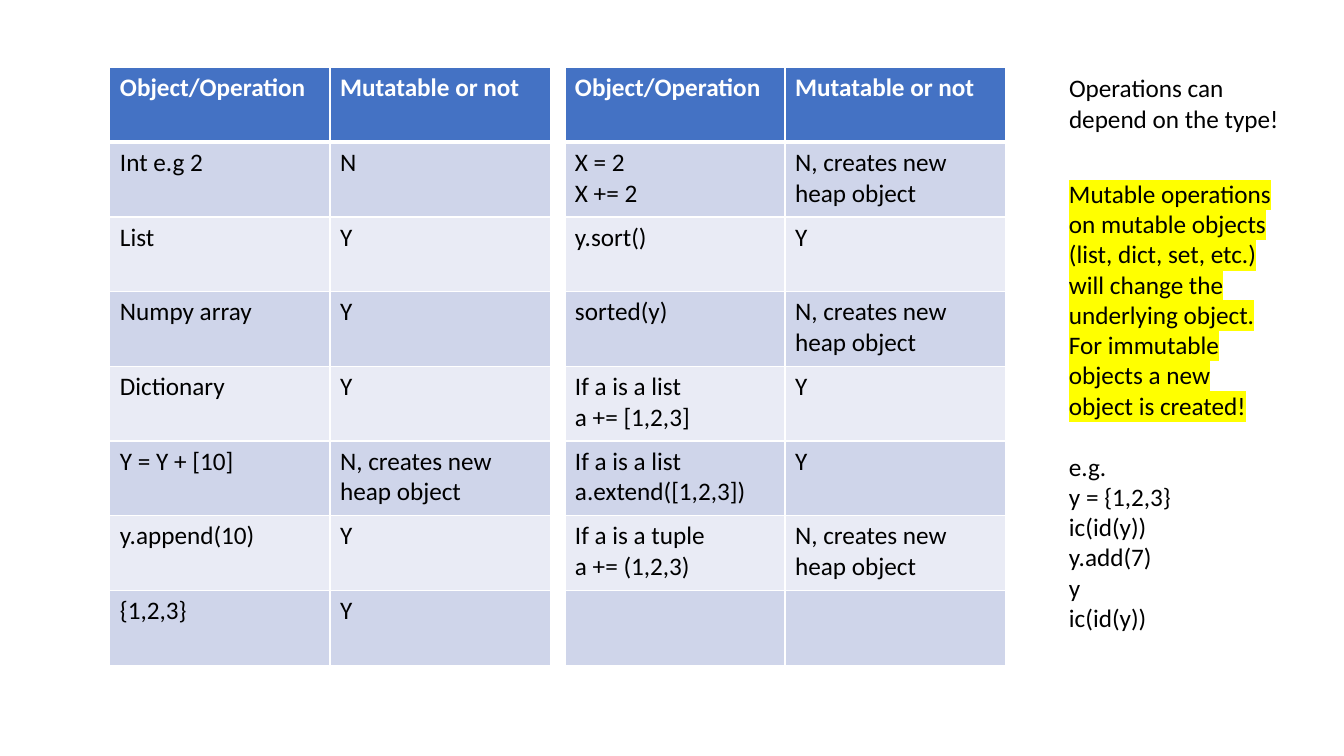
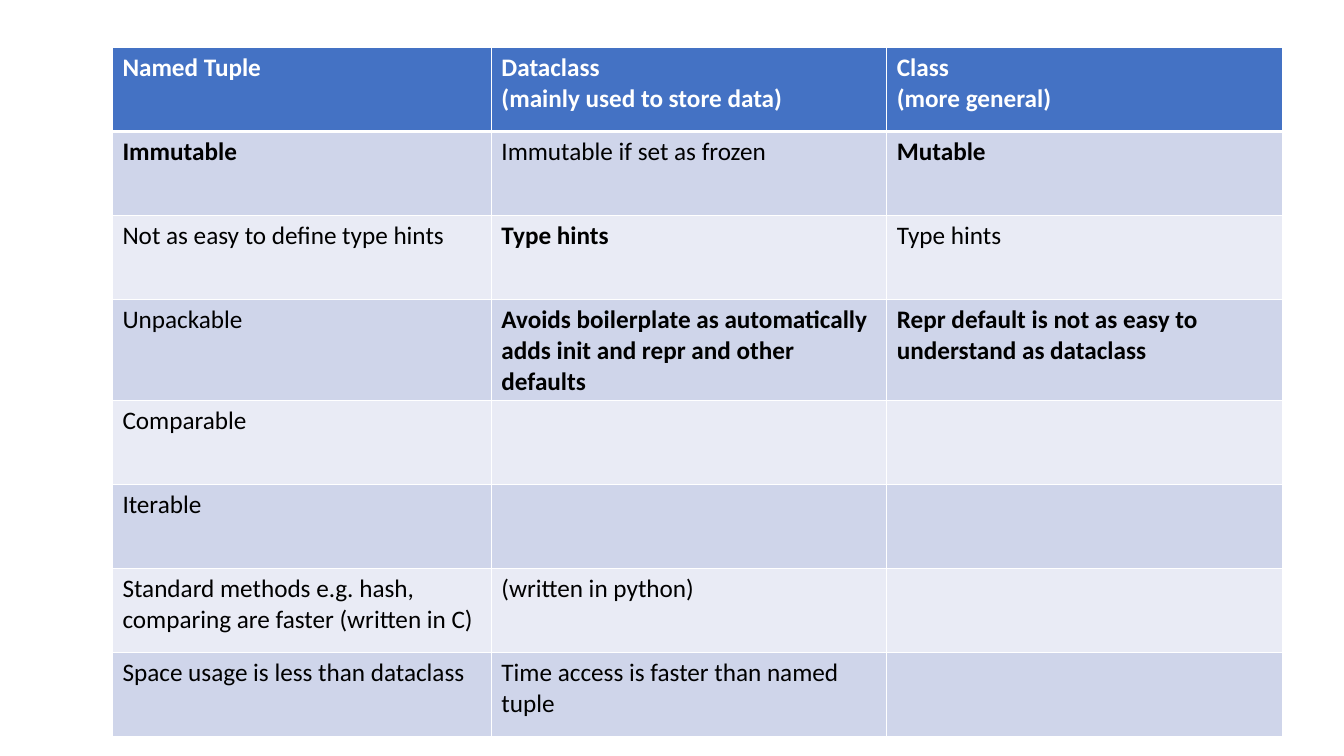
from dataclasses import dataclass

from lxml import etree
from pptx import Presentation
from pptx.dml.color import RGBColor
from pptx.enum.text import MSO_AUTO_SIZE
from pptx.oxml.ns import qn
from pptx.util import Pt

GROW = MSO_AUTO_SIZE.SHAPE_TO_FIT_TEXT


@dataclass(frozen=True)
class Theme:
    font: str = "Calibri"
    size: float = 18
    line: float = 22
    text: str = "000000"
    light: str = "FFFFFF"
    header: str = "4472C4"
    bands: tuple = ("CFD5EA", "E9EBF5")
    highlight: str = "FFFF00"
    border: float = 1
    header_border: float = 3


THEME = Theme()

# Table content, one row a tuple
OPERATION_HEADER = ("Object/Operation", "Mutatable or not")
NEW_OBJECT = "N, creates new heap object"
OBJECTS = [
    OPERATION_HEADER,
    ("Int e.g 2", "N"),
    ("List", "Y"),
    ("Numpy array", "Y"),
    ("Dictionary", "Y"),
    ("Y = Y + [10]", NEW_OBJECT),
    ("y.append(10)", "Y"),
    ("{1,2,3}", "Y"),
]
OPERATIONS = [
    OPERATION_HEADER,
    ("X = 2\nX += 2", NEW_OBJECT),
    ("y.sort()", "Y"),
    ("sorted(y)", NEW_OBJECT),
    ("If a is a list\na += [1,2,3]", "Y"),
    ("If a is a list\na.extend([1,2,3])", "Y"),
    ("If a is a tuple\na += (1,2,3)", NEW_OBJECT),
    ("", ""),
]
CLASS_KINDS = [
    ("Named Tuple", "Dataclass\n(mainly used to store data)", "Class\n(more general)"),
    ("Immutable", "Immutable if set as frozen", "Mutable"),
    ("Not as easy to define type hints", "Type hints", "Type hints"),
    ("Unpackable",
     "Avoids boilerplate as automatically adds init and repr and other defaults",
     "Repr default is not as easy to understand as dataclass"),
    ("Comparable", "", ""),
    ("Iterable", "", ""),
    ("Standard methods e.g. hash, comparing are faster (written in C)",
     "(written in python)", ""),
    ("Space usage is less than dataclass",
     "Time access is faster than named tuple", ""),
]
KEY_DIFFERENCES = {(1, 0), (1, 2), (2, 1), (3, 1), (3, 2)}  # bold (row, column)

RULE = ("Mutable operations on mutable objects (list, dict, set, etc.) will change "
        "the underlying object. For immutable objects a new object is created!")
EXAMPLE = ["e.g.", "y = {1,2,3}", "ic(id(y))", "y.add(7)", "y", "ic(id(y))"]


def style_text(tf, color, bold=False):
    for p in tf.paragraphs:
        p.font.name = THEME.font
        p.font.size = Pt(THEME.size)
        p.font.bold = bold
        p.font.color.rgb = RGBColor.from_string(color)


def add_color(parent, tag, color):
    fill = etree.SubElement(parent, qn(tag))
    etree.SubElement(fill, qn("a:srgbClr"), val=color)
    return fill


def set_borders(cell, row):
    """White grid with a heavier line under the header."""
    tc_pr = cell._tc.get_or_add_tcPr()
    heavy = {(0, "B"), (1, "T")}
    for i, side in enumerate("LRTB"):
        width = THEME.header_border if (row, side) in heavy else THEME.border
        ln = etree.Element(qn(f"a:ln{side}"), w=str(Pt(width)))
        solid = etree.SubElement(ln, qn("a:solidFill"))
        etree.SubElement(solid, qn("a:srgbClr"), val=THEME.light)
        tc_pr.insert(i, ln)


def add_table(s, x, y, col_widths, row_height, rows, bold=frozenset()):
    shape = s.shapes.add_table(len(rows), len(col_widths), Pt(x), Pt(y),
                               Pt(sum(col_widths)), Pt(row_height * len(rows)))
    table = shape.table
    for column, width in zip(table.columns, col_widths):
        column.width = Pt(width)
    for i, row in enumerate(rows):
        table.rows[i].height = Pt(row_height)
        header = i == 0
        for j, text in enumerate(row):
            cell = table.cell(i, j)
            cell.text_frame.text = text
            style_text(cell.text_frame, THEME.light if header else THEME.text,
                       header or (i, j) in bold)
            cell.fill.solid()
            fill = THEME.header if header else THEME.bands[(i - 1) % 2]
            cell.fill.fore_color.rgb = RGBColor.from_string(fill)
            set_borders(cell, i)


def add_note(s, x, y, w, h, lines):
    tf = s.shapes.add_textbox(Pt(x), Pt(y), Pt(w), Pt(h)).text_frame
    tf.word_wrap = True
    tf.auto_size = GROW
    tf.text = "\n".join(lines)
    style_text(tf, THEME.text)
    return tf


def add_mutability_slide(prs):
    s = prs.slides.add_slide(prs.slide_layouts[6])
    top, note_x = 48.3, 756.5

    # Two tables side by side
    for x, rows in ((78.5, OBJECTS), (403.5, OPERATIONS)):
        add_table(s, x, top, [157.25] * 2, 53.35, rows)

    # Notes on the right
    add_note(s, note_x, top, 182, 51, ["Operations can depend on the type!"])
    tf = add_note(s, note_x, 123.8, 163.5, 356, [RULE, *EXAMPLE])
    rule, example = tf.paragraphs[:2]
    add_color(rule.runs[0]._r.get_or_add_rPr(), "a:highlight", THEME.highlight)
    example.space_before = Pt(THEME.line)


def add_class_slide(prs):
    s = prs.slides.add_slide(prs.slide_layouts[6])
    add_table(s, 80.3, 34, [270.7, 282.5, 282.5], 60, CLASS_KINDS, KEY_DIFFERENCES)


def main():
    prs = Presentation()
    prs.slide_width, prs.slide_height = Pt(960), Pt(540)
    add_mutability_slide(prs)
    add_class_slide(prs)
    prs.save("out.pptx")


if __name__ == "__main__":
    main()
